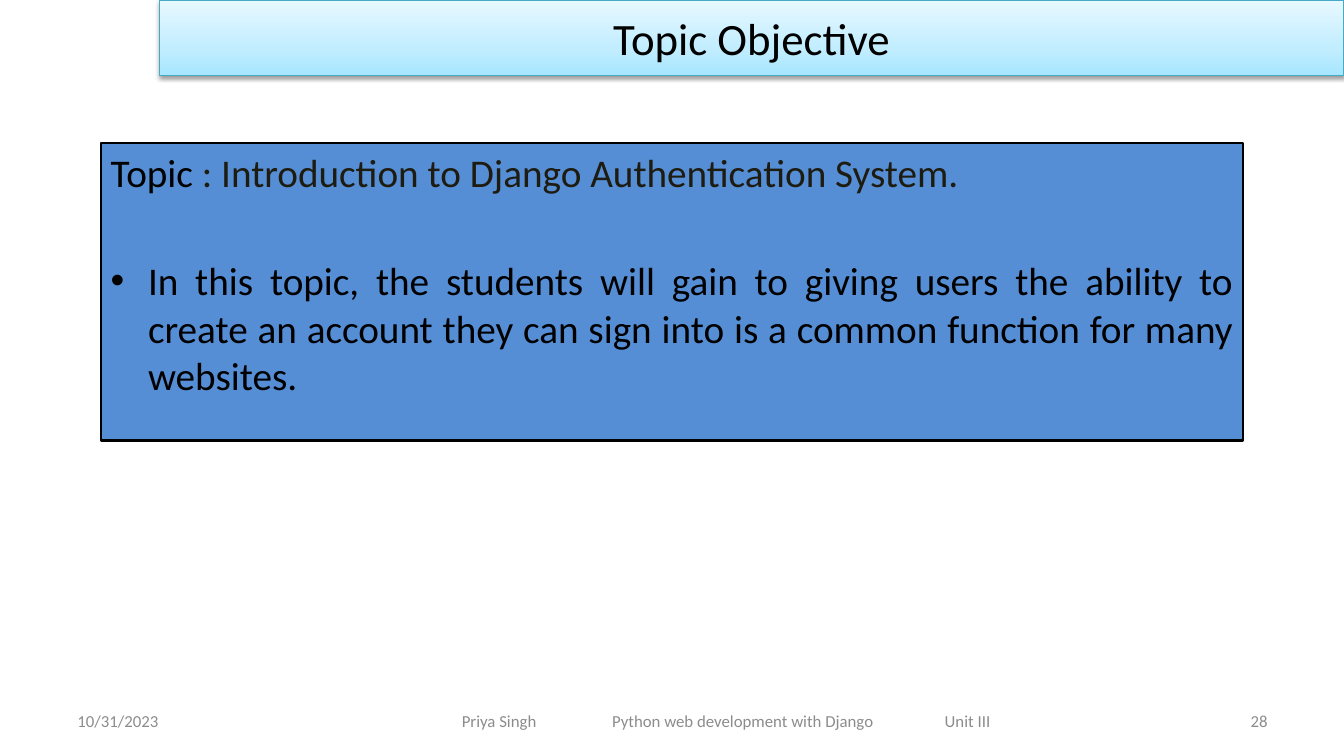
"""Build the Topic Objective slide."""
import pptx
import pptx.util
import pptx.dml.color
import pptx.enum.text
import pptx.enum.shapes
import pptx.oxml
import pptx.oxml.ns

Inches, Pt = pptx.util.Inches, pptx.util.Pt
ALIGN, ANCHOR = pptx.enum.text.PP_ALIGN, pptx.enum.text.MSO_ANCHOR
COLORS = {"black": "000000", "topic": "1E1C11", "panel": "558ED5", "footer": "8C8C8C",
          "border": "46AAC5", "low": "A7E6FF", "mid": "C1EDFF", "high": "E7F8FF"}


def add_run(p, text, size, color):
    r = p.add_run()
    r.text = text
    for name, value in {"name": "Calibri", "size": Pt(size)}.items():
        setattr(r.font, name, value)
    r.font.color.rgb = pptx.dml.color.RGBColor.from_string(COLORS[color])


def add_xml(parent, xml):
    ns = pptx.oxml.ns.nsdecls("a")
    parent.append(pptx.oxml.parse_xml(xml.replace(">", f" {ns}>", 1)))


prs = pptx.Presentation()
prs.slide_width, prs.slide_height = Inches(13.33), Inches(7.5)
s = prs.slides.add_slide(prs.slide_layouts[5])

title = s.shapes.title
box = {"left": Inches(1.58), "top": 0, "width": Inches(11.75), "height": Inches(0.75)}
for name, value in box.items():
    setattr(title, name, value)
spPr = title._element.spPr
stops = "".join(f'<a:gs pos="{pos}"><a:srgbClr val="{COLORS[c]}"/></a:gs>'
                for pos, c in [(0, "low"), (35000, "mid"), (100000, "high")])
add_xml(spPr, f'<a:gradFill><a:gsLst>{stops}</a:gsLst><a:lin ang="16200000"/></a:gradFill>')
title.line.color.rgb = pptx.dml.color.RGBColor.from_string(COLORS["border"])
title.line.width = Pt(0.75)
add_xml(spPr, '<a:effectLst><a:outerShdw blurRad="40000" dist="20000" dir="5400000" rotWithShape="0">'
        f'<a:srgbClr val="{COLORS["black"]}"><a:alpha val="38000"/></a:srgbClr>'
        '</a:outerShdw></a:effectLst>')
tf = title.text_frame
tf.auto_size = pptx.enum.text.MSO_AUTO_SIZE.NONE
tf.vertical_anchor = ANCHOR.MIDDLE
tf.paragraphs[0].alignment = ALIGN.CENTER
add_run(tf.paragraphs[0], "Topic Objective", 32, "black")

panel = s.shapes.add_shape(pptx.enum.shapes.MSO_SHAPE.RECTANGLE,
                           Inches(1), Inches(1.42), Inches(11.33), Inches(2.95))
panel.shadow.inherit = False
panel.fill.solid()
panel.fill.fore_color.rgb = pptx.dml.color.RGBColor.from_string(COLORS["panel"])
panel.line.color.rgb = pptx.dml.color.RGBColor.from_string(COLORS["black"])
panel.line.width = Pt(1.5)
tf = panel.text_frame
tf.word_wrap = True
tf.vertical_anchor = ANCHOR.TOP
p = tf.paragraphs[0]
p.alignment = ALIGN.JUSTIFY
add_run(p, "Topic ", 28, "black")
add_run(p, ": Introduction to Django Authentication System.", 28, "topic")
p = tf.add_paragraph()
p.alignment = ALIGN.JUSTIFY
p.space_before = Pt(44)
pPr = p._p.get_or_add_pPr()
pPr.set("marL", str(Inches(0.37)))
pPr.set("indent", str(-Inches(0.37)))
add_xml(pPr, '<a:buFont typeface="Arial"/>'.replace("/>", "></a:buFont>"))
add_xml(pPr, '<a:buChar char="•"></a:buChar>')
add_run(p, "In this topic, the students will gain to giving users the ability to create an account "
        "they can sign into is a common function for many websites.", 28, "black")

footers = [
    (0.67, 3.11, 0.1, ALIGN.LEFT, "10/31/2023"),
    (3.55, 7.32, 1.03, ALIGN.LEFT, "Priya Singh\tPython web development with Django\tUnit III"),
    (9.56, 3.11, 0.1, ALIGN.RIGHT, "28"),
]
for left, width, inset, align, text in footers:
    tf = s.shapes.add_textbox(Inches(left), Inches(6.95), Inches(width), Inches(0.4)).text_frame
    tf.word_wrap = True
    tf.margin_left = Inches(inset)
    tf.vertical_anchor = ANCHOR.MIDDLE
    p = tf.paragraphs[0]
    p.alignment = align
    if "\t" in text:
        tabs = "".join(f'<a:tab pos="{Inches(pos)}" algn="l"/>' for pos in (1.49, 4.79))
        add_xml(p._p.get_or_add_pPr(), f"<a:tabLst>{tabs}</a:tabLst>")
    add_run(p, text, 12, "footer")

prs.save("out.pptx")
